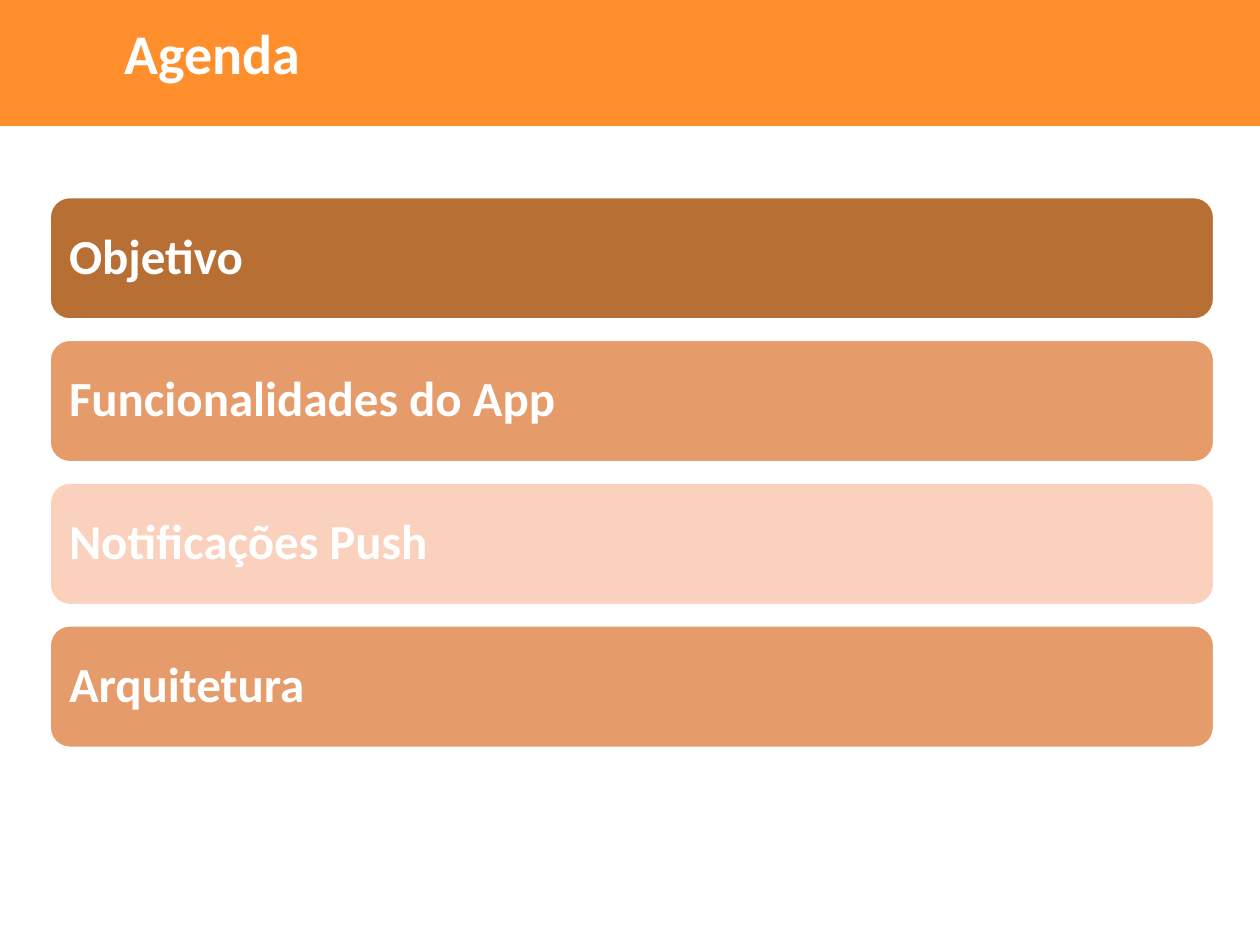
from pptx import Presentation
from pptx.dml.color import RGBColor
from pptx.enum import shapes, text
from pptx.util import Inches, Pt

COLORS = {"band": "FF8E2D", "white": "FFFFFF", "dark": "B76F34",
          "medium": "E69B6B", "light": "FAD1BD"}
FONT = "Calibri"
TITLE = "Agenda"
TOPICS = [("Objetivo", "dark"), ("Funcionalidades do App", "medium"),
          ("Notificações Push", "light"), ("Arquitetura", "medium")]

# Lower edge of the header band, from right to left: two joined Bézier curves
BAND_CURVES = [
    [(9.78, 0.59), (8.46, 0.74), (6.76, 0.82), (4.91, 0.82)],
    [(4.91, 0.82), (3.06, 0.82), (1.36, 0.74), (0.04, 0.59)],
]
CURVE_STEPS = 24
BAR_LEFT, BAR_TOP, BAR_WIDTH, BAR_HEIGHT = 0.39, 1.56, 9.25, 0.98
BAR_PITCH = 1.133


def color(name):
    return RGBColor.from_string(COLORS[name])


def curve_point(curve, t):
    weights = ((1 - t) ** 3, 3 * t * (1 - t) ** 2, 3 * t * t * (1 - t), t ** 3)
    return tuple(sum(w * point[axis] for w, point in zip(weights, curve))
                 for axis in (0, 1))


def write(shape, words, size, anchor, inset_x, inset_y):
    frame = shape.text_frame
    frame.word_wrap = True
    frame.auto_size = text.MSO_AUTO_SIZE.NONE
    frame.vertical_anchor = anchor
    frame.margin_left = frame.margin_right = Inches(inset_x)
    frame.margin_top = frame.margin_bottom = Inches(inset_y)
    para = frame.paragraphs[0]
    para.text = words
    para.alignment = text.PP_ALIGN.LEFT
    para.font.name = FONT
    para.font.size = Pt(size)
    para.font.bold = True
    para.font.color.rgb = color("white")
    return para


def add_band(page):
    edge = [curve_point(curve, step / CURVE_STEPS)
            for curve in BAND_CURVES for step in range(CURVE_STEPS + 1)]
    builder = page.shapes.build_freeform(0, 0, scale=Inches(1))
    builder.add_line_segments([(10, 0), (10, 0.57), *edge, (0, 0.59)], close=True)
    band = builder.convert_to_shape()
    band.shadow.inherit = False
    band.fill.solid()
    band.fill.fore_color.rgb = color("band")
    band.line.fill.background()
    return band


def add_bar(page, row, words, fill):
    bar = page.shapes.add_shape(
        shapes.MSO_SHAPE.ROUNDED_RECTANGLE,
        Inches(BAR_LEFT), Inches(BAR_TOP + row * BAR_PITCH),
        Inches(BAR_WIDTH), Inches(BAR_HEIGHT))
    bar.shadow.inherit = False
    bar.fill.solid()
    bar.fill.fore_color.rgb = color(fill)
    bar.line.color.rgb = color("white")
    bar.line.width = Pt(2)
    para = write(bar, words, 28, text.MSO_ANCHOR.MIDDLE, 0.11, 0.12)
    para.line_spacing = 0.9


def main():
    deck = Presentation()
    deck.slide_width, deck.slide_height = Inches(10), Inches(7.5)
    page = deck.slides.add_slide(deck.slide_layouts[5])

    title = page.shapes.title
    title.left, title.top = Inches(0.89), Inches(0.1)
    title.width, title.height = Inches(5.4), Inches(0.64)
    write(title, TITLE, 32, text.MSO_ANCHOR.TOP, 0.1, 0.05)
    title.element.addprevious(add_band(page).element)  # band goes behind the title

    for row, (words, fill) in enumerate(TOPICS):
        add_bar(page, row, words, fill)

    deck.save("out.pptx")


if __name__ == "__main__":
    main()
